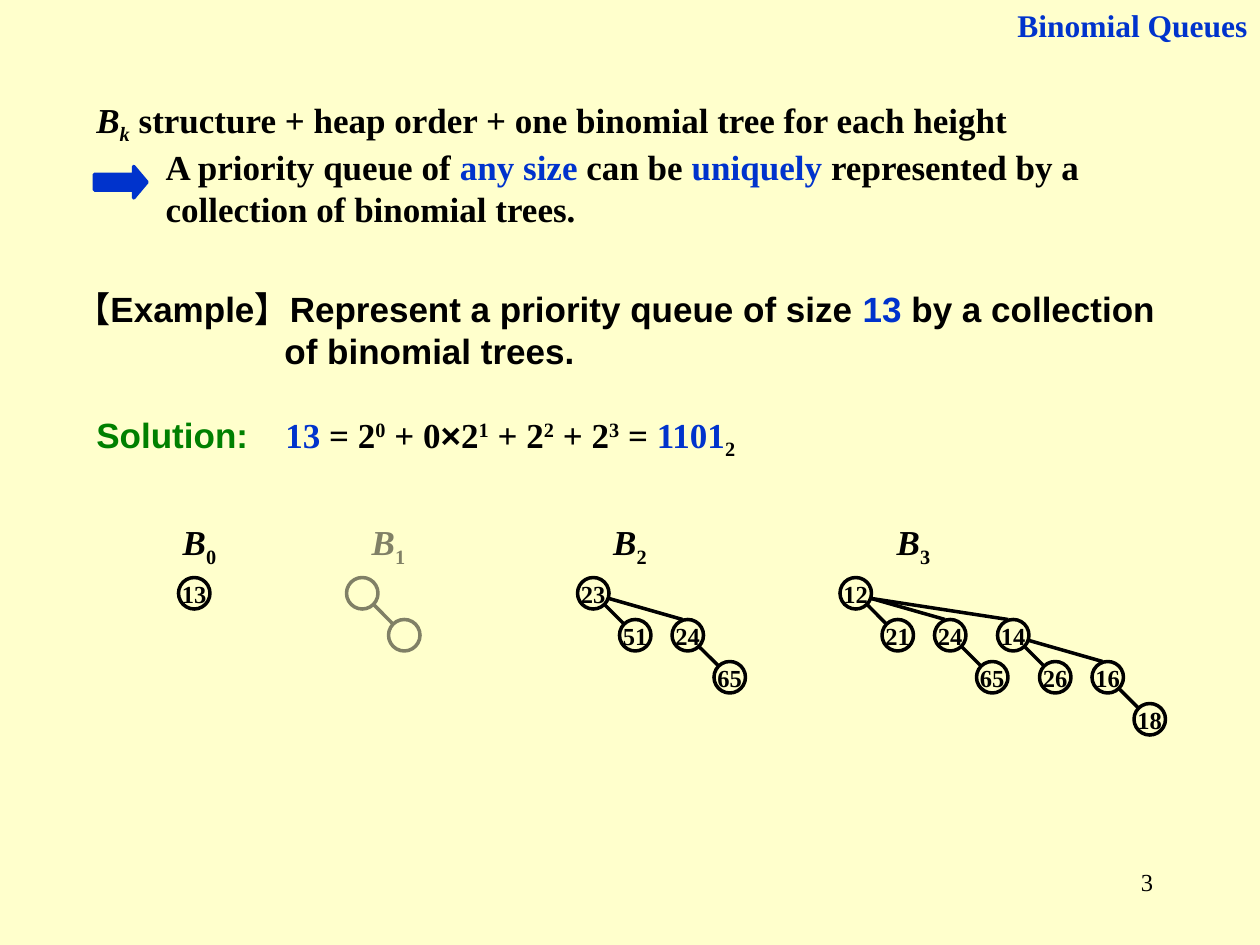
from dataclasses import dataclass

import lxml.etree
import pptx
import pptx.dml.color
import pptx.enum.shapes
import pptx.enum.text
import pptx.oxml.ns
import pptx.util

SERIF, SANS = "Times New Roman", "Arial"
BLACK, BLUE, GREEN, CREAM = "000000", "0033CC", "008000", "FFFFCC"
SUB, SUP = -25, 30
GRID = 12  # cells to the inch
NODE = 3  # node diameter in cells
TOP, STEP = 55, 4  # row of the roots, rows between levels
SHAPE = pptx.enum.shapes.MSO_SHAPE
ALIGN = pptx.enum.text.PP_ALIGN


@dataclass
class Span:
    """A stretch of text with one format."""
    text: str
    color: str = BLACK
    font: str = SERIF
    italic: bool = False
    base: int = 0
    bold: bool = True
    size: int = 20


@dataclass
class Node:
    """A tree node: column, level, key and index of its parent."""
    col: float
    level: int
    key: str = ""
    parent: int = -1


@dataclass
class Tree:
    """A binomial tree with the column of its label."""
    label_col: float
    nodes: list[Node]


TREES = [
    Tree(15, [Node(17, 0, "13")]),
    Tree(33, [Node(33, 0), Node(37, 1, "", 0)]),
    Tree(56, [Node(55, 0, "23"), Node(59, 1, "51", 0), Node(64, 1, "24", 0),
              Node(68, 2, "65", 2)]),
    Tree(83, [Node(80, 0, "12"), Node(84, 1, "21", 0), Node(89, 1, "24", 0),
              Node(93, 2, "65", 2), Node(95, 1, "14", 0), Node(99, 2, "26", 4),
              Node(104, 2, "16", 4), Node(108, 3, "18", 6)]),
]


def cells(*values: float) -> list[int]:
    """Turn grid cells into lengths."""
    return [pptx.util.Inches(v / GRID) for v in values]


def rgb(color: str) -> pptx.dml.color.RGBColor:
    """Turn a hex string into a colour."""
    return pptx.dml.color.RGBColor.from_string(color)


def write(p, spans: list[Span], align=ALIGN.LEFT, margin: float = 0, indent: float = 0) -> None:
    """Fill a paragraph with spans; margin and indent are inches."""
    p.alignment = align
    if margin:
        pPr = p._p.get_or_add_pPr()
        pPr.set("marL", str(pptx.util.Inches(margin)))
        pPr.set("indent", str(pptx.util.Inches(indent)))
    for span in spans:
        r = p.add_run()
        r.text = span.text
        r.font.name, r.font.size = span.font, pptx.util.Pt(span.size)
        r.font.bold, r.font.italic = span.bold, span.italic
        r.font.color.rgb = rgb(span.color)
        if span.base:
            r._r.get_or_add_rPr().set("baseline", str(span.base * 1000))


def add_text(slide, box: tuple, *spans: Span, **layout):
    """Add a wrapping text box at grid cells and return its text frame."""
    tf = slide.shapes.add_textbox(*cells(*box)).text_frame
    tf.word_wrap = True
    write(tf.paragraphs[0], list(spans), **layout)
    return tf


def add_shape(slide, kind, box: tuple, fill: str = "", line: str = ""):
    """Add a flat preset shape at grid cells."""
    sp = slide.shapes.add_shape(kind, *cells(*box))
    sp.shadow.inherit = False
    if fill:
        sp.fill.solid()
        sp.fill.fore_color.rgb = rgb(fill)
    else:
        sp.fill.background()
    if line:
        sp.line.color.rgb, sp.line.width = rgb(line), pptx.util.Pt(2)
    else:
        sp.line.fill.background()
    return sp


def add_edge(slide, parent: Node, child: Node) -> None:
    """Join two nodes: diagonally if adjacent, else from side to top."""
    x1, y1 = parent.col, TOP + STEP * parent.level
    x2, y2 = child.col, TOP + STEP * child.level
    if x2 - x1 == STEP:
        ends = (x1 + 2.5, y1 + 2.5, x2 + 0.5, y2 + 0.5)
    else:
        ends = (x1 + NODE, y1 + 2, x2 + 1, y2)
    edge = slide.shapes.add_connector(pptx.enum.shapes.MSO_CONNECTOR.STRAIGHT, *cells(*ends))
    edge.line.color.rgb, edge.line.width = rgb(BLACK), pptx.util.Pt(2)
    lxml.etree.SubElement(edge._element.spPr, pptx.oxml.ns.qn("a:effectLst"))


def add_tree(slide, order: int, tree: Tree) -> None:
    """Draw a labelled binomial tree."""
    add_text(slide, (tree.label_col, 49, 8, 5.75), Span("B", italic=True),
             Span(str(order), base=SUB), align=ALIGN.CENTER)
    for node in tree.nodes:
        if node.parent >= 0:
            add_edge(slide, tree.nodes[node.parent], node)
        sp = add_shape(slide, SHAPE.OVAL,
                       (node.col, TOP + STEP * node.level, NODE, NODE), line=BLACK)
        if node.key:
            tf = sp.text_frame
            tf.word_wrap = False
            tf.vertical_anchor = pptx.enum.text.MSO_ANCHOR.MIDDLE
            write(tf.paragraphs[0], [Span(node.key, size=14)], align=ALIGN.CENTER)


def add_veil(slide, box: tuple) -> None:
    """Dim an area with a half transparent cover."""
    sp = add_shape(slide, SHAPE.RECTANGLE, box, fill=CREAM)
    color = sp._element.spPr.find(".//" + pptx.oxml.ns.qn("a:srgbClr"))
    lxml.etree.SubElement(color, pptx.oxml.ns.qn("a:alpha"), val="50000")


def main() -> None:
    """Build and save the slide."""
    prs = pptx.Presentation()
    prs.slide_width, prs.slide_height = cells(120, 90)
    s = prs.slides.add_slide(prs.slide_layouts[6])
    s.background.fill.solid()
    s.background.fill.fore_color.rgb = rgb(CREAM)

    add_text(s, (86, 82, 25, 6), Span("3", size=14, bold=False), align=ALIGN.RIGHT)
    add_text(s, (89, 0, 31, 4.8), Span("Binomial Queues", BLUE, size=18), align=ALIGN.RIGHT)
    add_text(s, (6, 26.75, 108, 9.25),
             Span("【Example】Represent a priority queue of size ", font=SANS),
             Span("13", BLUE, SANS), Span(" by a collection of binomial trees.", font=SANS),
             margin=1.66, indent=-1.66)

    tf = add_text(s, (8, 8.75, 101, 13.75), Span("B", italic=True),
                  Span("k", italic=True, base=SUB),
                  Span(" structure + heap order + one binomial tree for each height"))
    conclusion = [
        [Span("A priority queue of "), Span("any size", BLUE), Span(" can be "),
         Span("uniquely", BLUE), Span(" represented by a")],
        [Span("collection of binomial trees.")],
    ]
    for spans in conclusion:
        write(tf.add_paragraph(), spans, margin=0.55)
    arrow = add_shape(s, SHAPE.RIGHT_ARROW, (9, 15.85, 5, 3), fill=BLUE, line=BLUE)
    arrow.adjustments[1] = 0.42

    add_text(s, (8, 38.75, 20, 5.25), Span("Solution:", GREEN, SANS))
    add_text(s, (26, 38.75, 55, 5.75), Span("13", BLUE), Span(" = 2"), Span("0", base=SUP),
             Span(" + 0"), Span("×", font=SANS), Span("2"), Span("1", base=SUP),
             Span(" + 2"), Span("2", base=SUP), Span(" + 2"), Span("3", base=SUP),
             Span(" = "), Span("1101", BLUE), Span("2", base=SUB))

    for order, tree in enumerate(TREES):
        add_tree(s, order, tree)
    add_veil(s, (30, 49, 14, 14))
    prs.save("out.pptx")


main()
